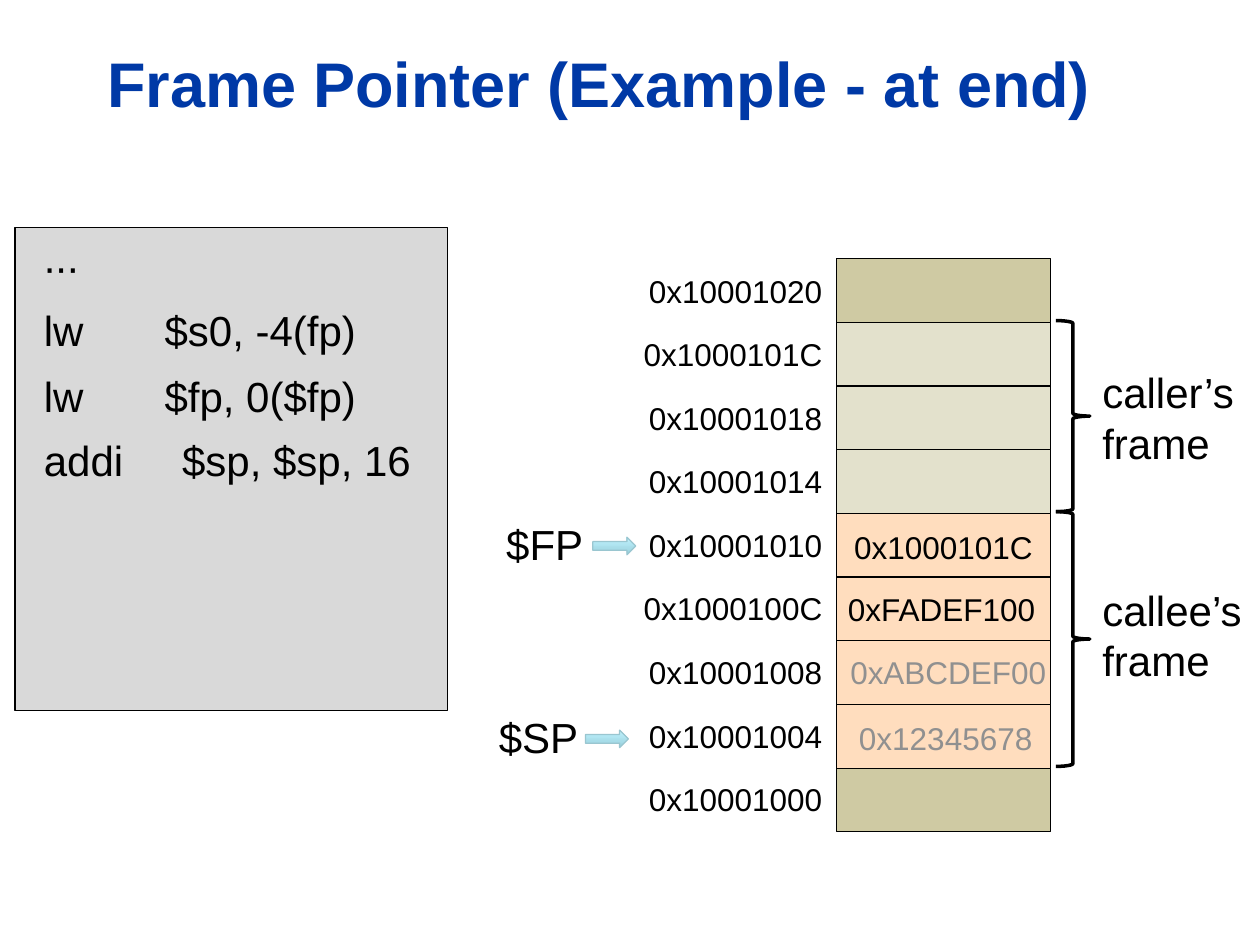
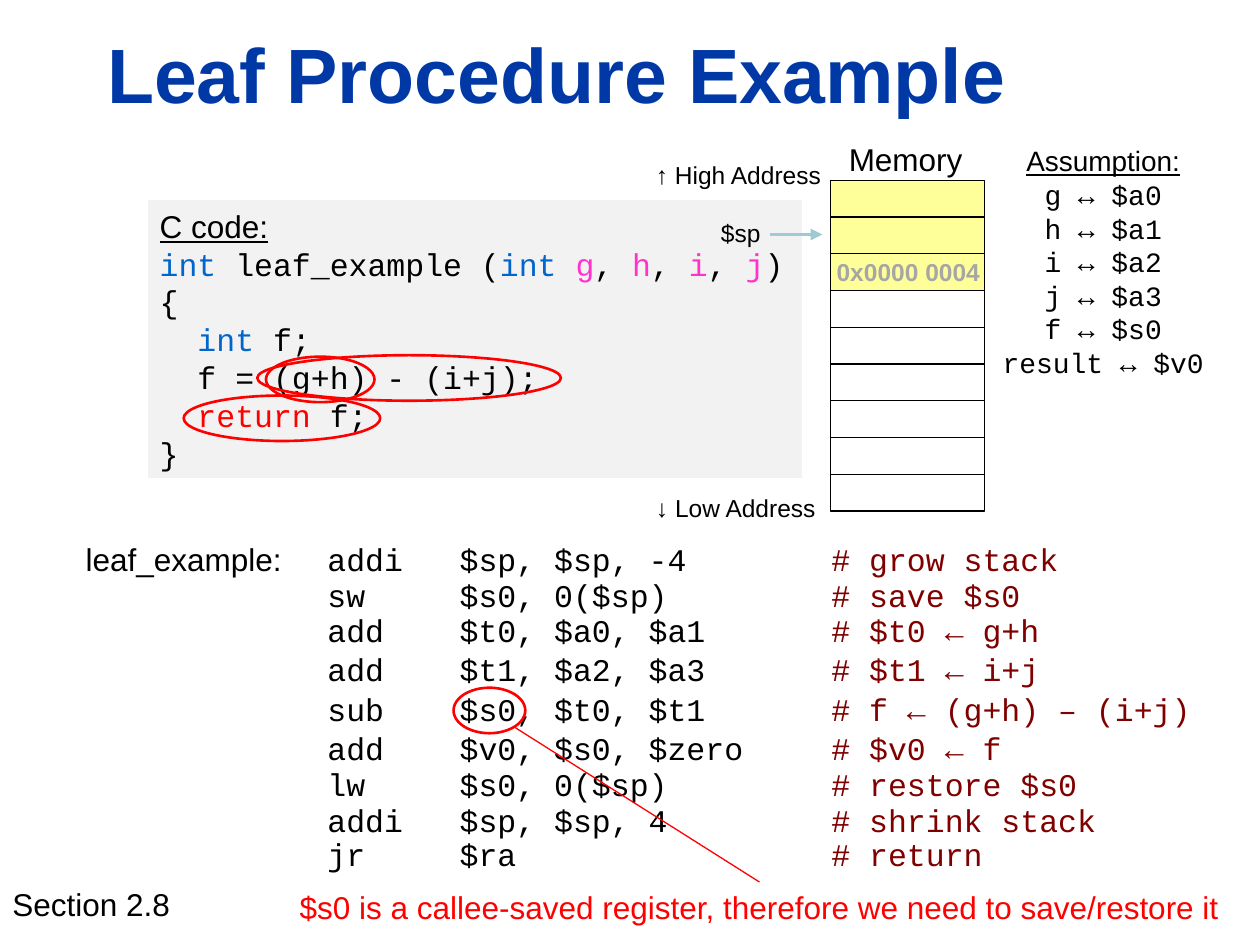
from lxml import etree
from pptx import Presentation
from pptx.dml.color import RGBColor
from pptx.enum.shapes import MSO_CONNECTOR, MSO_SHAPE
from pptx.enum.text import MSO_ANCHOR, MSO_AUTO_SIZE, PP_ALIGN
from pptx.oxml.ns import qn
from pptx.util import Pt

RECT, OVAL = MSO_SHAPE.RECTANGLE, MSO_SHAPE.OVAL
ARROW, BRACE = MSO_SHAPE.RIGHT_ARROW, MSO_SHAPE.RIGHT_BRACE
LINE = MSO_CONNECTOR.STRAIGHT
TOP, MIDDLE, BOTTOM = MSO_ANCHOR.TOP, MSO_ANCHOR.MIDDLE, MSO_ANCHOR.BOTTOM
LEFT, CENTER, RIGHT = PP_ALIGN.LEFT, PP_ALIGN.CENTER, PP_ALIGN.RIGHT

BLACK = RGBColor(0, 0, 0)
WHITE = RGBColor(255, 255, 255)
NAVY = RGBColor(0x00, 0x39, 0xA6)
RED = RGBColor(0xFF, 0, 0)
MAROON = RGBColor(0x80, 0, 0)
BLUE = RGBColor(0x00, 0x66, 0xCC)
PINK = RGBColor(0xFF, 0x33, 0xCC)
SILVER = RGBColor(0xD9, 0xD9, 0xD9)
PALE = RGBColor(0xF2, 0xF2, 0xF2)
GRAY = RGBColor(0x90, 0x90, 0x90)
ASH = RGBColor(0xA6, 0xA6, 0xA6)
KHAKI = RGBColor(0xCF, 0xCA, 0xA3)
SAND = RGBColor(0xE3, 0xE1, 0xCC)
PEACH = RGBColor(0xFF, 0xDD, 0xBE)
YELLOW = RGBColor(0xFF, 0xFF, 0x99)
TEAL = RGBColor(0x97, 0xCF, 0xDB)
AQUA = RGBColor(0xC1, 0xF3, 0xFF)
EDGE = RGBColor(0x9A, 0xC6, 0xD0)
STEEL = RGBColor(0x9F, 0xCA, 0xD3)

SANS, MONO = "Arial", "Courier New"


def style(font, size, color=BLACK, name=SANS, bold=False):
    font.size, font.name, font.bold = Pt(size), name, bold
    font.color.rgb = color


def write(frame, lines, size, color=BLACK, name=SANS, bold=False,
          align=LEFT, anchor=TOP, wrap=False):
    """Fill a frame; a line is a string or a list of (text, color) runs."""
    frame.word_wrap = wrap
    frame.auto_size = MSO_AUTO_SIZE.NONE
    frame.vertical_anchor = anchor
    for i, line in enumerate(lines):
        para = frame.paragraphs[0] if i == 0 else frame.add_paragraph()
        para.alignment = align
        style(para.font, size, color, name, bold)
        for text, tint in [(line, color)] if isinstance(line, str) else line:
            run = para.add_run()
            run.text = text
            if tint != color:
                run.font.color.rgb = tint
    return frame.paragraphs


def label(slide, text, x, y, w, h, size, **look):
    box = slide.shapes.add_textbox(Pt(x), Pt(y), Pt(w), Pt(h))
    return write(box.text_frame, text.split("\n"), size, **look)


def head(paras):
    """Underline the first line and set it in the sans font."""
    paras[0].font.underline = True
    paras[0].font.name = SANS


def tabs(para, *stops):
    props = para._p.get_or_add_pPr()
    group = etree.Element(qn("a:tabLst"))
    for stop in stops:
        etree.SubElement(group, qn("a:tab"), pos=str(Pt(stop)), algn="l")
    fonts = props.find(qn("a:defRPr"))
    if fonts is None:
        props.append(group)
    else:
        fonts.addprevious(group)


def shape(slide, kind, x, y, w, h, fill=None, line=BLACK, width=0.75):
    item = slide.shapes.add_shape(kind, Pt(x), Pt(y), Pt(w), Pt(h))
    item.shadow.inherit = False
    if fill is None:
        item.fill.background()
    else:
        item.fill.solid()
        item.fill.fore_color.rgb = fill
    item.line.color.rgb = line
    item.line.width = Pt(width)
    return item


def stack(slide, x, y, w, step, fills):
    """Draw memory cells from the top down."""
    for i, fill in enumerate(fills):
        shape(slide, RECT, x, y + i * step, w, step, fill)


def link(slide, x1, y1, x2, y2, color, width, tip=False):
    line = slide.shapes.add_connector(LINE, Pt(x1), Pt(y1), Pt(x2), Pt(y2))
    line.line.color.rgb = color
    line.line.width = Pt(width)
    props = line._element.spPr
    if tip:
        etree.SubElement(props.find(qn("a:ln")), qn("a:tailEnd"), type="triangle")
    etree.SubElement(props, qn("a:effectLst"))


def start(deck, text, y, h, size):
    """Add a slide with its title."""
    slide = deck.slides.add_slide(deck.slide_layouts[5])
    title = slide.shapes.title
    title.left, title.top, title.width, title.height = Pt(54), Pt(y), Pt(650), Pt(h)
    write(title.text_frame, [text], size, NAVY, bold=True, anchor=BOTTOM, wrap=True)
    return slide


def pointer(slide, name, x, y):
    """Name a register and point from it to an address."""
    label(slide, name, x, y, 59, 36, 24)
    arrow = shape(slide, ARROW, x + 56.6, y + 14, 24.5, 10, TEAL, EDGE)
    arrow.fill.gradient()
    arrow.fill.gradient_angle = 90
    for stop, color in zip(arrow.fill.gradient_stops, (TEAL, AQUA)):
        stop.color.rgb = color


def frames(deck):
    slide = start(deck, "Frame Pointer (Example - at end)", 21, 51, 36)
    shape(slide, RECT, 8.6, 130, 247, 276, SILVER)
    for line, y, stop in (("∙∙∙", 134, 69), ("lw\t$s0, -4(fp)", 170.6, 69),
                          ("lw\t$fp, 0($fp)", 208, 69),
                          ("addi\t$sp, $sp, 16", 245, 79)):
        tabs(label(slide, line, 18, y, 236, 36, 24, wrap=True)[0], stop)

    top, step = 147.8, 36.4
    stack(slide, 478, top, 122.4, step,
          [KHAKI] + [SAND] * 3 + [PEACH] * 4 + [KHAKI])
    for i in range(9):
        label(slide, f"0x{0x10001020 - 4 * i:08X}", 360, top + 4 + i * 36.3,
              117, 29, 18, align=RIGHT)
    for text, x, y, color in (("0x1000101C", 481, 298, BLACK),
                              ("0xFADEF100", 477.4, 333.4, BLACK),
                              ("0xABCDEF00", 478.8, 369.4, GRAY),
                              ("0x12345678", 483.8, 407.5, GRAY)):
        label(slide, text, x, y, 122, 29, 18, color=color)

    pointer(slide, "$FP", 282.2, 293)
    pointer(slide, "$SP", 278, 403.2)
    for text, row, count, y in (("caller’s\nframe", 1, 3, 206),
                                ("callee’s\nframe", 4, 4, 330.5)):
        shape(slide, BRACE, 603.4, top + row * step - 1, 19.4, count * step,
              width=2)
        label(slide, text, 622.8, y, 95, 65.5, 24)


def leaf(deck):
    slide = start(deck, "Leaf Procedure Example", 11.5, 60, 44)
    code = shape(slide, RECT, 84.2, 113.8, 374.4, 159.8, PALE, WHITE)
    args = [("int ", BLUE), ("leaf_example (", BLACK), ("int ", BLUE), ("g", PINK)]
    for name in "hij":
        args += [(", ", BLACK), (name, PINK)]
    paras = write(code.text_frame,
                  ["C code:", args + [(")", BLACK)], "{",
                   [("int", BLUE), (" f;", BLACK)], "f = (g+h) - (i+j);",
                   [("return", RED), (" f;", BLACK)], "}"],
                  18, name=MONO, anchor=MIDDLE)
    head(paras)
    for para in paras[3:6]:
        props = para._p.get_or_add_pPr()
        props.set("marL", str(Pt(21.6)))
        props.set("indent", "0")

    label(slide, "Section 2.8", 0, 502, 106, 29, 18)
    label(slide, "leaf_example:", 41.8, 305.3, 148, 29, 18)
    for line, note, y in (("addi\t$sp, $sp, -4", "grow stack", 305.3),
                          ("sw\t$s0, 0($sp)", "save $s0", 325.4),
                          ("add\t$t0, $a0, $a1", "$t0 ← g+h", 345.6),
                          ("add\t$t1, $a2, $a3", "$t1 ← i+j", 368),
                          ("sub\t$s0, $t0, $t1", "f ← (g+h) – (i+j)", 391),
                          ("add\t$v0, $s0, $zero", "$v0 ← f", 413.3),
                          ("lw\t$s0, 0($sp)", "restore $s0", 433.5),
                          ("addi\t$sp, $sp, 4", "shrink stack", 454.3),
                          ("jr\t$ra", "return", 473.8)):
        box = slide.shapes.add_textbox(Pt(180), Pt(y), Pt(532), Pt(29))
        row = [(line + "\t", BLACK), ("# " + note, MAROON)]
        tabs(write(box.text_frame, [row], 18, name=MONO, wrap=True)[0], 75.6, 288)

    for x, y, w in ((152, 203.8, 62), (147, 203, 173.5),
                    (105, 226, 112.3), (259.2, 393, 41)):
        shape(slide, OVAL, x, y, w, 26, line=RED, width=1.5)
    label(slide, "$s0 is a callee-saved register, therefore we need to save/restore it",
          164.2, 504, 540, 29, 18, color=RED)
    link(slide, 293.8, 415.4, 434, 504, RED, 0.75)

    stack(slide, 474.5, 103, 88, 21, [YELLOW] * 3 + [WHITE] * 6)
    link(slide, 440, 134, 470, 134, STEEL, 2.25, tip=True)
    for text, x, y, w, h, size in (("$sp", 404.6, 121, 37.4, 24, 14),
                                   ("↑ High Address", 366.5, 88, 111, 24, 14),
                                   ("↓ Low Address", 366.5, 278, 108, 24, 14),
                                   ("Memory", 478, 76.5, 79, 29, 18)):
        label(slide, text, x, y, w, h, size, align=CENTER, anchor=MIDDLE)
    label(slide, "0x0000 0004", 471, 143.3, 96.5, 24.5, 14, color=ASH, bold=True)
    head(label(slide, "Assumption:\ng ↔ $a0\nh ↔ $a1\ni ↔ $a2\nj ↔ $a3\n"
               "f ↔ $s0\nresult ↔ $v0", 564.5, 77.8, 131.8, 143.3, 16,
               name=MONO, align=CENTER, anchor=MIDDLE))


def main():
    deck = Presentation()
    deck.slide_width, deck.slide_height = Pt(720), Pt(540)
    frames(deck)
    leaf(deck)
    deck.save("out.pptx")


if __name__ == "__main__":
    main()
